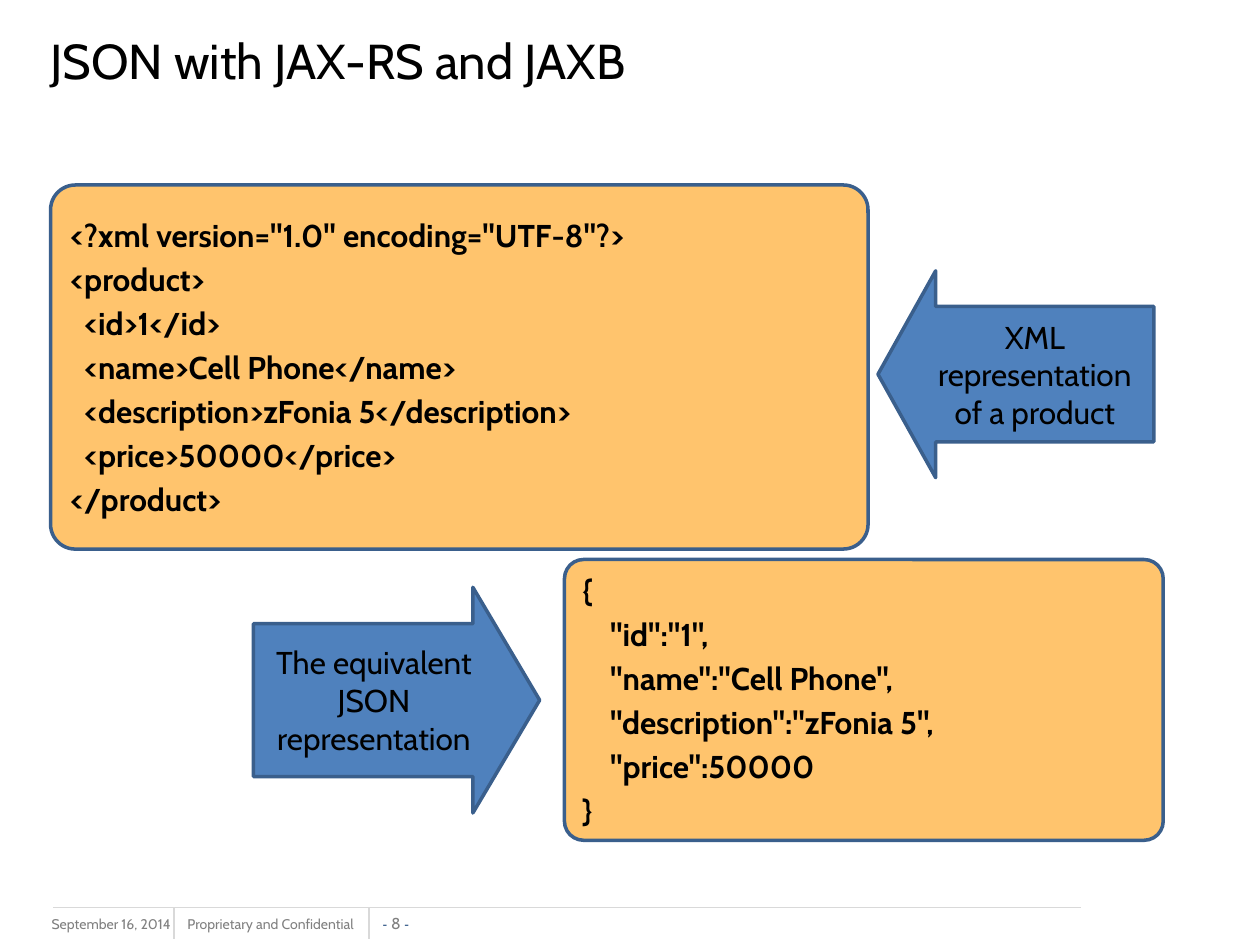
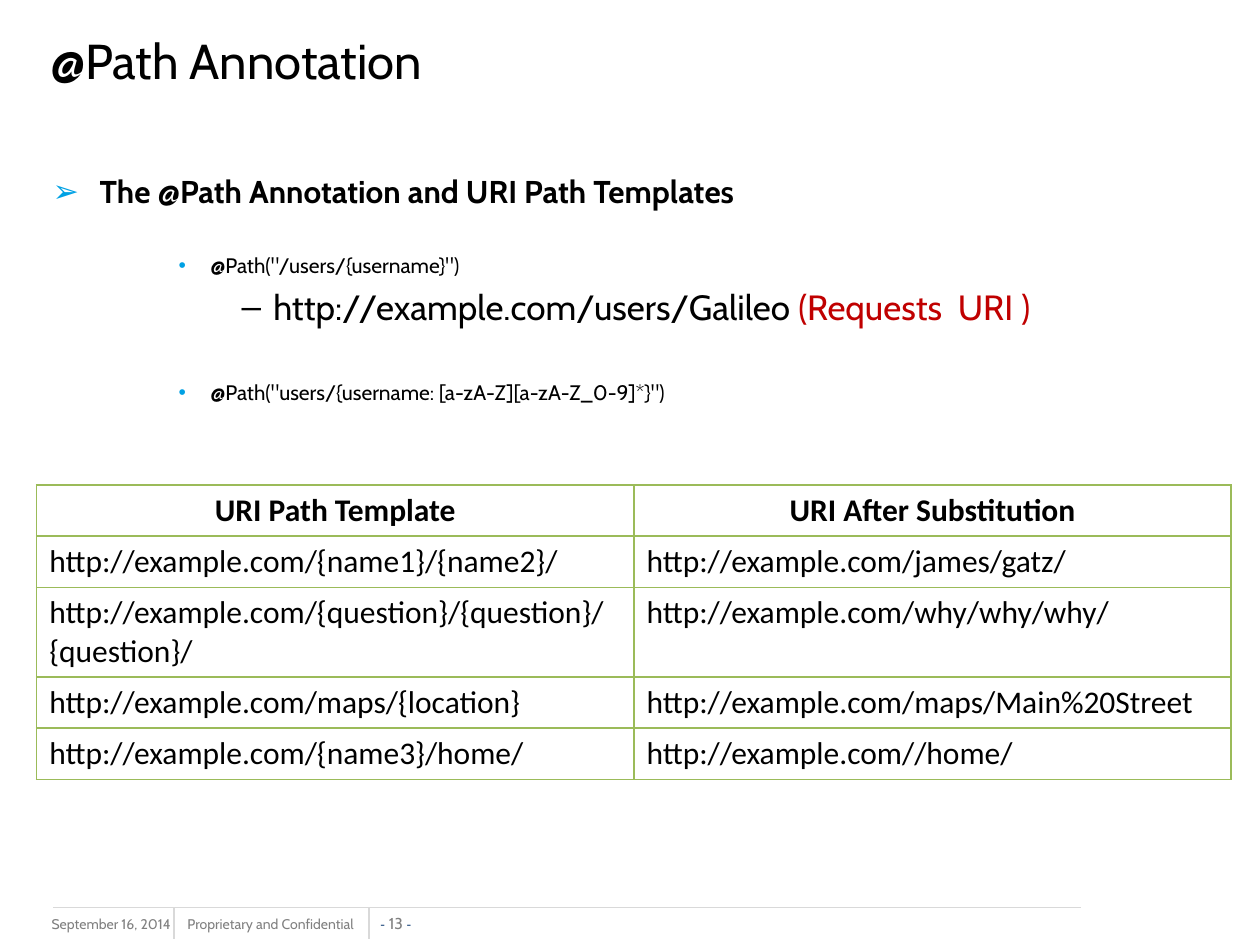
from lxml.etree import SubElement
from pptx import Presentation
from pptx.dml.color import RGBColor
from pptx.enum.shapes import MSO_CONNECTOR, MSO_SHAPE
from pptx.enum.text import MSO_ANCHOR, PP_ALIGN
from pptx.oxml.ns import qn
from pptx.util import Cm, Pt

BLACK = "000000"
GREY = "808080"
NAVY = "1F497D"
RULE = "D9D9D9"
CODE_FILL = "FFC46D"
ARROW_FILL = "4F81BD"
OUTLINE = "3A5F8C"
ACCENT = "00A1E4"
RED = "C00000"
GRID = "9BBB59"
FONT = "Cabin"


def paint(color_format, hex_color):
    color_format.rgb = RGBColor.from_string(hex_color)


def style(font, size, color=BLACK, bold=False, name=FONT):
    font.name = name
    font.size = Pt(size)
    font.bold = bold
    paint(font.color, color)


def add_text(slide, box, text="", size=18, color=BLACK, anchor=MSO_ANCHOR.TOP, wrap=True):
    frame = slide.shapes.add_textbox(*map(Cm, box)).text_frame
    frame.word_wrap = wrap
    frame.vertical_anchor = anchor
    if text:
        frame.text = text
        style(frame.paragraphs[0].font, size, color)
    return frame


def add_run(paragraph, text, size, color, name=FONT):
    run = paragraph.add_run()
    run.text = text
    style(run.font, size, color, name=name)


def add_rule(slide, x1, y1, x2, y2):
    rule = slide.shapes.add_connector(MSO_CONNECTOR.STRAIGHT, *map(Cm, (x1, y1, x2, y2)))
    paint(rule.line.color, RULE)
    rule.line.width = Pt(0.75)
    SubElement(rule._element.spPr, qn("a:effectLst"))


def add_footer(slide, number):
    add_text(slide, (0.79, 18.34, 3.38, 0.63), "September 16, 2014", 8, GREY)
    add_text(slide, (3.53, 18.34, 3.99, 0.61), "Proprietary and Confidential", 8, GREY, wrap=False)
    page = add_text(slide, (7.65, 18.42, 0.66, 0.38), anchor=MSO_ANCHOR.BOTTOM, wrap=False)
    page.margin_left = page.margin_right = page.margin_top = page.margin_bottom = 0
    paragraph = page.paragraphs[0]
    paragraph.alignment = PP_ALIGN.CENTER
    add_run(paragraph, "- ", 8, NAVY, "Arial")
    add_run(paragraph, f"{number} ", 9, GREY)
    add_run(paragraph, "-", 8, NAVY, "Arial")
    add_rule(slide, 21.79, 18.29, 1.07, 18.29)
    for x in (3.51, 7.44):
        add_rule(slide, x, 18.29, x, 18.92)


def add_base_slide(prs, title, number):
    slide = prs.slides.add_slide(prs.slide_layouts[6])
    add_footer(slide, number)
    add_text(slide, (0.76, 0, 22.86, 2.41), title, 28, anchor=MSO_ANCHOR.MIDDLE)
    return slide


def add_block(slide, preset, box, fill, adjustments):
    block = slide.shapes.add_shape(preset, *map(Cm, box))
    block.shadow.inherit = False
    for index, value in enumerate(adjustments):
        block.adjustments[index] = value
    block.fill.solid()
    paint(block.fill.fore_color, fill)
    paint(block.line.color, OUTLINE)
    block.line.width = Pt(2)
    frame = block.text_frame
    frame.word_wrap = True
    frame.vertical_anchor = MSO_ANCHOR.MIDDLE
    return frame


def indent(paragraph, left, hanging=0):
    properties = paragraph._p.get_or_add_pPr()
    properties.set("marL", str(Cm(left)))
    properties.set("indent", str(-Cm(hanging)))
    return properties


def add_code(slide, box, lines, step):
    frame = add_block(slide, MSO_SHAPE.ROUNDED_RECTANGLE, box, CODE_FILL, [0.068])
    frame.text = "\n".join(lines)
    for position, paragraph in enumerate(frame.paragraphs):
        nested = 0 < position < len(lines) - 1 and lines[position] != "<product>"
        indent(paragraph, step if nested else 0)
        paragraph.alignment = PP_ALIGN.JUSTIFY
        paragraph.space_before = Pt(3.6)
        style(paragraph.font, 18, bold=True)


def add_arrow(slide, preset, box, text, adjustments):
    frame = add_block(slide, preset, box, ARROW_FILL, adjustments)
    frame.text = text
    frame.paragraphs[0].alignment = PP_ALIGN.CENTER
    style(frame.paragraphs[0].font, 18)


def add_bullet(paragraph, mark, left, hanging, before, color=None):
    paragraph.space_before = Pt(before)
    properties = indent(paragraph, left, hanging)
    if color:
        SubElement(SubElement(properties, qn("a:buClr")), qn("a:srgbClr"), val=color)
    SubElement(properties, qn("a:buFont"), typeface="Arial")
    SubElement(properties, qn("a:buChar"), char=mark)


def border_cell(cell):
    properties = cell._tc.get_or_add_tcPr()
    for position, side in enumerate(("a:lnL", "a:lnR", "a:lnT", "a:lnB")):
        line = properties.makeelement(qn(side), {"w": str(Pt(1))})
        fill = SubElement(line, qn("a:solidFill"))
        SubElement(fill, qn("a:srgbClr"), val=GRID)
        properties.insert(position, line)


def add_grid(slide, left, top, column_width, rows, heights):
    table = slide.shapes.add_table(
        len(rows), len(rows[0]), Cm(left), Cm(top),
        Cm(column_width * len(rows[0])), Cm(sum(heights))).table
    table.horz_banding = False
    for column in table.columns:
        column.width = Cm(column_width)
    for row_index, (texts, height) in enumerate(zip(rows, heights)):
        table.rows[row_index].height = Cm(height)
        for column_index, text in enumerate(texts):
            cell = table.cell(row_index, column_index)
            cell.text = text
            cell.fill.background()
            border_cell(cell)
            paragraph = cell.text_frame.paragraphs[0]
            header = row_index == 0
            paragraph.alignment = PP_ALIGN.CENTER if header else PP_ALIGN.LEFT
            style(paragraph.font, 18, bold=header, name="Calibri")


def build_json_slide(prs):
    slide = add_base_slide(prs, "JSON with JAX-RS and JAXB", 8)
    add_code(slide, (1.02, 3.73, 16.48, 7.34), [
        '<?xml version="1.0" encoding="UTF-8"?>',
        "<product>",
        "<id>1</id>",
        "<name>Cell Phone</name>",
        "<description>zFonia 5</description>",
        "<price>50000</price>",
        "</product>",
    ], 0.28)
    add_code(slide, (11.38, 11.28, 12.07, 5.66), [
        "{",
        '"id":"1",',
        '"name":"Cell Phone",',
        '"description":"zFonia 5",',
        '"price":50000',
        "}",
    ], 0.56)
    add_arrow(slide, MSO_SHAPE.LEFT_ARROW, (17.7, 5.46, 5.56, 4.17),
              "XML representation of a product", [0.655, 0.279])
    add_arrow(slide, MSO_SHAPE.RIGHT_ARROW, (5.11, 11.84, 5.77, 4.55),
              "The equivalent JSON representation", [0.677, 0.296])


def build_path_slide(prs):
    slide = add_base_slide(prs, "@Path Annotation", 13)
    body = add_text(slide, (0.81, 3.35, 22.86, 12.57))
    heading = body.paragraphs[0]
    heading.text = "The @Path Annotation and URI Path Templates"
    add_bullet(heading, "➢", 0.95, 0.95, 3.6, ACCENT)
    style(heading.font, 18, bold=True)

    simple = body.add_paragraph()
    simple.text = '@Path("/users/{username}")'
    add_bullet(simple, "•", 3.18, 0.64, 24.5, ACCENT)
    style(simple.font, 12)

    request = body.add_paragraph()
    add_bullet(request, "–", 4.45, 0.64, 4)
    add_run(request, "http://example.com/users/Galileo ", 20, BLACK)
    add_run(request, "(Requests  URI )", 20, RED)

    pattern = body.add_paragraph()
    pattern.text = '@Path("users/{username: [a-zA-Z][a-zA-Z_0-9]*}")'
    add_bullet(pattern, "•", 3.18, 0.64, 30, ACCENT)
    style(pattern.font, 12)

    add_grid(slide, 0.74, 9.78, 12.04, [
        ("URI Path Template", "URI After Substitution"),
        ("http://example.com/{name1}/{name2}/", "http://example.com/james/gatz/"),
        ("http://example.com/{question}/{question}/{question}/", "http://example.com/why/why/why/"),
        ("http://example.com/maps/{location}", "http://example.com/maps/Main%20Street"),
        ("http://example.com/{name3}/home/", "http://example.com//home/"),
    ], [1.03, 1.03, 1.81, 1.03, 1.03])


def main():
    prs = Presentation()
    prs.slide_width = Cm(25.4)
    prs.slide_height = Cm(19.05)
    build_json_slide(prs)
    build_path_slide(prs)
    prs.save("out.pptx")


if __name__ == "__main__":
    main()
